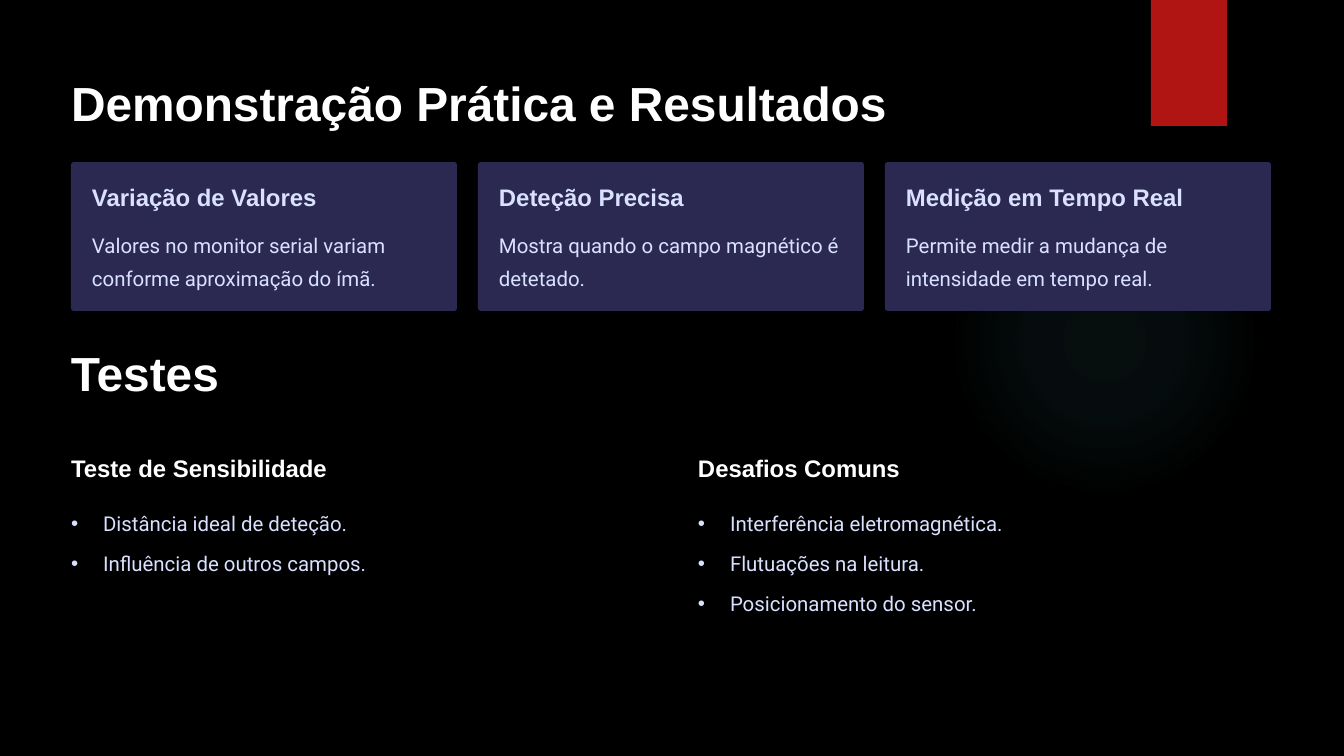
from dataclasses import dataclass

from lxml import etree
from pptx import Presentation
from pptx.dml.color import RGBColor
from pptx.enum.shapes import MSO_SHAPE
from pptx.enum.text import MSO_ANCHOR, MSO_AUTO_SIZE, PP_ALIGN
from pptx.oxml import parse_xml
from pptx.oxml.ns import nsdecls, qn
from pptx.shapes.autoshape import Shape
from pptx.slide import Slide
from pptx.util import Emu, Pt

ELLIPSE, RECTANGLE = MSO_SHAPE.OVAL, MSO_SHAPE.RECTANGLE
ROUNDED = MSO_SHAPE.ROUNDED_RECTANGLE
TOP, LEFT = MSO_ANCHOR.TOP, PP_ALIGN.LEFT
NO_AUTOFIT = MSO_AUTO_SIZE.NONE


@dataclass(frozen=True)
class TextStyle:
    size: float
    leading: float
    font: str
    bold: bool


@dataclass(frozen=True)
class Theme:
    background: str = "000000"
    white: str = "FFFFFF"
    lavender: str = "D9E1FF"
    card: str = "2B2952"
    ribbon: str = "B01513"
    glow: str = "50B9C1"
    title: TextStyle = TextStyle(41, 51.5, "Arial", True)
    heading: TextStyle = TextStyle(20.5, 25.5, "Arial", True)
    body: TextStyle = TextStyle(17.5, 28, "Roboto", False)


@dataclass(frozen=True)
class Box:
    left: int
    top: int
    width: int
    height: int


@dataclass(frozen=True)
class Card:
    heading: str
    text: str


@dataclass(frozen=True)
class TestColumn:
    left: int
    heading: str
    items: tuple[str, ...]
    heading_idx: int
    list_idx: int


THEME = Theme()
MARGIN = 71
CARD_TOP, CARD_WIDTH, CARD_HEIGHT, CARD_STEP, CARD_PAD = 162, 386, 149, 407, 21
HEADING_HEIGHT = 30
BULLET_INDENT = 32
ITEM_GAP = 6.3
ITEM_STEP = 40

CARDS = (
    Card("Variação de Valores",
         "Valores no monitor serial variam conforme aproximação do ímã."),
    Card("Deteção Precisa", "Mostra quando o campo magnético é detetado."),
    Card("Medição em Tempo Real",
         "Permite medir a mudança de intensidade em tempo real."),
)
COLUMNS = (
    TestColumn(MARGIN, "Teste de Sensibilidade",
               ("Distância ideal de deteção.", "Influência de outros campos."),
               1, 2),
    TestColumn(698, "Desafios Comuns",
               ("Interferência eletromagnética.", "Flutuações na leitura.",
                "Posicionamento do sensor."), 3, 4),
)


def px(length: int) -> Emu:
    return Emu(round(length * 914400 / 84))


def place(shape: Shape, box: Box) -> None:
    shape.left, shape.top = px(box.left), px(box.top)
    shape.width, shape.height = px(box.width), px(box.height)


def write_text(shape: Shape, *lines: str, style: TextStyle, color: str,
               bullets: bool = False) -> None:
    frame = shape.text_frame
    frame.word_wrap = True
    frame.auto_size = NO_AUTOFIT
    frame.vertical_anchor = TOP
    frame.margin_left = frame.margin_right = 0
    frame.margin_top = frame.margin_bottom = 0
    for index, line in enumerate(lines):
        paragraph = frame.add_paragraph() if index else frame.paragraphs[0]
        paragraph.alignment = LEFT
        paragraph.line_spacing = Pt(style.leading)
        paragraph.space_before = Pt(ITEM_GAP if index else 0)
        paragraph.space_after = Pt(0)
        if bullets:
            properties = paragraph._p.get_or_add_pPr()
            properties.set("marL", str(px(BULLET_INDENT)))
            properties.set("indent", str(-px(BULLET_INDENT)))
            etree.SubElement(properties, qn("a:buChar")).set("char", "•")
        run = paragraph.add_run()
        run.text = line
        run.font.name = style.font
        run.font.size = Pt(style.size)
        run.font.bold = style.bold
        run.font.color.rgb = RGBColor.from_string(color)


def add_text(slide: Slide, box: Box, text: str, style: TextStyle,
             color: str) -> None:
    label = slide.shapes.add_textbox(0, 0, 0, 0)
    place(label, box)
    write_text(label, text, style=style, color=color)


def add_panel(slide: Slide, kind: MSO_SHAPE, box: Box, color: str) -> Shape:
    panel = slide.shapes.add_shape(kind, 0, 0, 0, 0)
    place(panel, box)
    panel.shadow.inherit = False
    panel.fill.solid()
    panel.fill.fore_color.rgb = RGBColor.from_string(color)
    panel.line.fill.background()
    return panel


def add_glow(slide: Slide) -> None:
    glow = add_panel(slide, ELLIPSE, Box(949, 185, 311, 311), THEME.glow)
    stops = "".join(
        f'<a:gs pos="{position * 1000}"><a:srgbClr val="{THEME.glow}">'
        f'<a:alpha val="{alpha * 1000}"/></a:srgbClr></a:gs>'
        for position, alpha in ((0, 7), (36, 6), (69, 0)))
    gradient = parse_xml(
        f'<a:gradFill {nsdecls("a")}><a:gsLst>{stops}</a:gsLst>'
        '<a:path path="circle"><a:fillToRect l="50000" t="50000" '
        'r="50000" b="50000"/></a:path></a:gradFill>')
    properties = glow._element.spPr
    properties.replace(properties.find(qn("a:solidFill")), gradient)


def add_ribbon(slide: Slide) -> None:
    ribbon = add_panel(slide, RECTANGLE, Box(1151, 0, 76, 126), THEME.ribbon)
    ribbon._element.spPr.find(qn("a:effectLst")).append(parse_xml(
        f'<a:outerShdw {nsdecls("a")} blurRad="{Pt(3)}" dist="{Pt(2)}" '
        'dir="5400000" rotWithShape="0"><a:srgbClr val="000000">'
        '<a:alpha val="45000"/></a:srgbClr></a:outerShdw>'))


def add_card(slide: Slide, card: Card, left: int) -> None:
    panel = add_panel(slide, ROUNDED,
                      Box(left, CARD_TOP, CARD_WIDTH, CARD_HEIGHT), THEME.card)
    panel.adjustments[0] = 0.02
    text_left, text_width = left + CARD_PAD, CARD_WIDTH - 2 * CARD_PAD + 2
    add_text(slide, Box(text_left, 182, text_width, HEADING_HEIGHT),
             card.heading, THEME.heading, THEME.lavender)
    add_text(slide, Box(text_left, 225, text_width, 66),
             card.text, THEME.body, THEME.lavender)


def fill_column(slide: Slide, column: TestColumn) -> None:
    heading = slide.placeholders[column.heading_idx]
    place(heading, Box(column.left, 453, 294, HEADING_HEIGHT))
    write_text(heading, column.heading, style=THEME.heading, color=THEME.white)
    items = slide.placeholders[column.list_idx]
    place(items, Box(column.left, 503, 575, ITEM_STEP * len(column.items)))
    write_text(items, *column.items, style=THEME.body, color=THEME.lavender,
               bullets=True)


def main() -> None:
    deck = Presentation()
    deck.slide_width, deck.slide_height = px(1344), px(756)
    comparison_layout = deck.slide_layouts.get_by_name("Comparison")
    slide = deck.slides.add_slide(comparison_layout)
    slide.background.fill.solid()
    slide.background.fill.fore_color.rgb = RGBColor.from_string(THEME.background)

    add_glow(slide)
    add_ribbon(slide)
    title = slide.shapes.title
    place(title, Box(MARGIN, 71, 958, 60))
    write_text(title, "Demonstração Prática e Resultados",
               style=THEME.title, color=THEME.white)
    for index, card in enumerate(CARDS):
        add_card(slide, card, MARGIN + index * CARD_STEP)
    add_text(slide, Box(MARGIN, 341, 480, 60), "Testes",
             THEME.title, THEME.white)
    for column in COLUMNS:
        fill_column(slide, column)
    deck.save("out.pptx")


if __name__ == "__main__":
    main()
